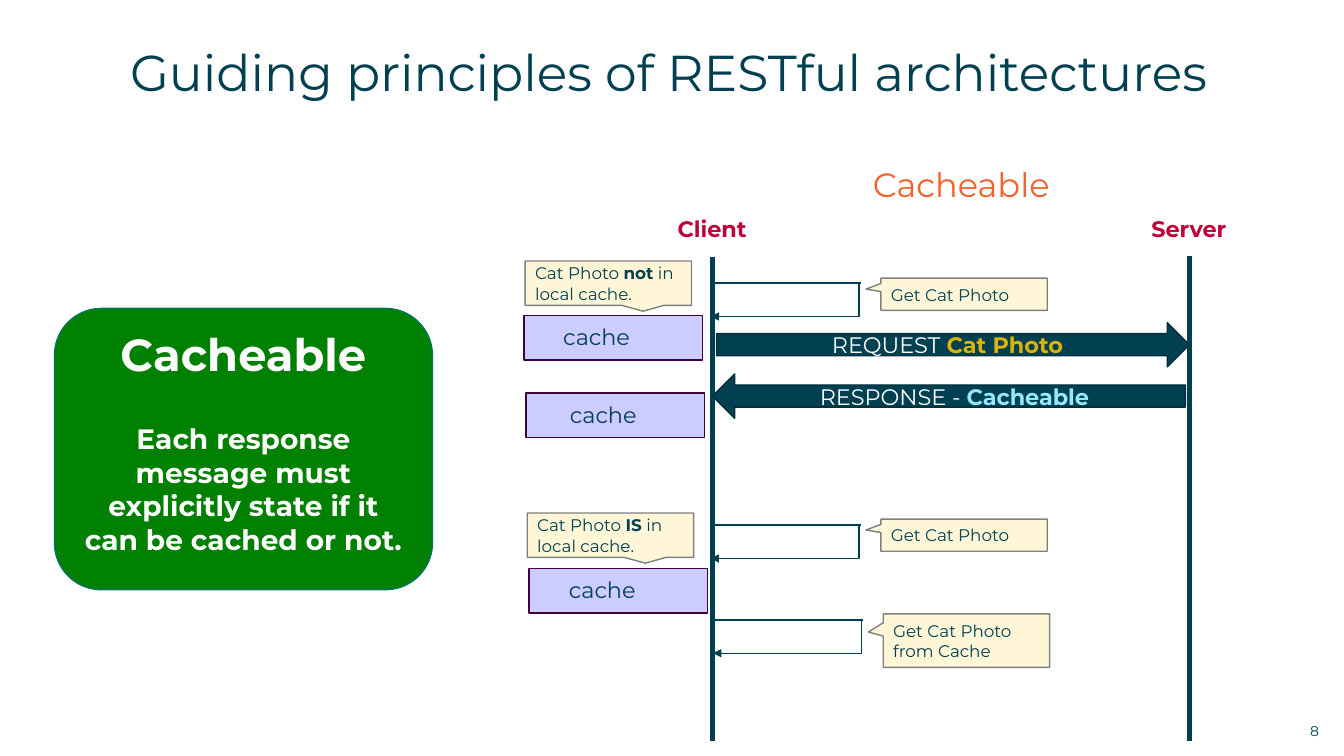
from lxml import etree
from pptx import Presentation
from pptx.dml.color import RGBColor
from pptx.enum.shapes import MSO_CONNECTOR, MSO_SHAPE
from pptx.enum.text import MSO_ANCHOR, PP_ALIGN
from pptx.oxml.ns import qn
from pptx.util import Pt

STRAIGHT, ELBOW = MSO_CONNECTOR.STRAIGHT, MSO_CONNECTOR.ELBOW
RECT, ROUNDED = MSO_SHAPE.RECTANGLE, MSO_SHAPE.ROUNDED_RECTANGLE
CALLOUT = MSO_SHAPE.RECTANGULAR_CALLOUT
RIGHT_ARROW, LEFT_ARROW = MSO_SHAPE.RIGHT_ARROW, MSO_SHAPE.LEFT_ARROW
TOP, MIDDLE = MSO_ANCHOR.TOP, MSO_ANCHOR.MIDDLE
LEFT, CENTER = PP_ALIGN.LEFT, PP_ALIGN.CENTER

COLORS = {
    "ink": "004050", "arrow_edge": "002F3B", "white": "FFFFFF",
    "green": "008000", "green_edge": "00765B", "role": "BF0039",
    "heading": "F3622C", "cache": "CCCCFF", "cache_edge": "40003E",
    "note": "FEF6D7", "note_edge": "808080", "photo": "DCB208", "reply": "94E9FF",
}
FORMATS = {
    "title": {"size": Pt(36)},
    "heading": {"size": Pt(24)},
    "principle": {"size": Pt(32), "bold": True},
    "rule": {"size": Pt(20), "bold": True},
    "label": {"size": Pt(16)},
    "strong_label": {"size": Pt(16), "bold": True},
    "note": {"size": Pt(12)},
    "strong_note": {"size": Pt(12), "bold": True},
    "number": {"size": Pt(10)},
}

prs = Presentation()
prs.slide_width, prs.slide_height = Pt(960), Pt(540)
slide = prs.slides.add_slide(prs.slide_layouts[6])
shapes = slide.shapes


def write(holder, paragraphs, align=CENTER, anchor=TOP, inset=True):
    frame = holder.text_frame
    frame.word_wrap = True
    frame.vertical_anchor = anchor
    if not inset:
        for side in ("left", "top", "right", "bottom"):
            setattr(frame, f"margin_{side}", 0)
    for index, runs in enumerate(paragraphs):
        paragraph = frame.add_paragraph() if index else frame.paragraphs[0]
        paragraph.alignment = align
        for text, style, color in runs:
            run = paragraph.add_run()
            run.text = text
            run.font.name = "Montserrat"
            run.font.color.rgb = RGBColor.from_string(COLORS[color])
            for key, value in FORMATS[style].items():
                setattr(run.font, key, value)
    return frame


def paint(element, edge, fill=None, width=1):
    element.line.color.rgb = RGBColor.from_string(COLORS[edge])
    element.line.width = Pt(width)
    if fill:
        element.shadow.inherit = False
        element.fill.solid()
        element.fill.fore_color.rgb = RGBColor.from_string(COLORS[fill])
    else:
        etree.SubElement(element._element.spPr, qn("a:effectLst"))
    return element


title = shapes.add_textbox(Pt(92.9), Pt(29.5), Pt(903.6), Pt(381.6))
write(title, [[("Guiding principles of RESTful architectures", "title", "ink")]],
      LEFT, inset=False)

principle = paint(shapes.add_shape(ROUNDED, Pt(38.9), Pt(220.3), Pt(270), Pt(200.9)),
                  "green_edge", "green")
principle_text = write(principle, [
    [("Cacheable", "principle", "white")],
    [("Each response message must explicitly state if it can be cached or not.",
      "rule", "white")],
])
principle_text.paragraphs[1].space_before = Pt(29)

heading = shapes.add_textbox(Pt(614.2), Pt(120.2), Pt(144.7), Pt(26.6))
heading_text = write(heading, [[("Cacheable", "heading", "heading")]], inset=False)
heading_text.paragraphs[0].line_spacing = 0.9

for role, lifeline_x, label_x, label_y in [
    ("Client", 509, 445, 150.5), ("Server", 849.6, 785.5, 149.8),
]:
    role_label = shapes.add_textbox(Pt(label_x), Pt(label_y), Pt(127.4), Pt(26.6))
    write(role_label, [[(role, "strong_label", "role")]])
    paint(shapes.add_connector(STRAIGHT, Pt(lifeline_x), Pt(label_y + 33),
                               Pt(lifeline_x), Pt(529.2)), "ink", width=3)

for arrow, x, y, lead, subject, color in [
    (RIGHT_ARROW, 511.9, 230.4, "REQUEST ", "Cat Photo", "photo"),
    (LEFT_ARROW, 509, 267.1, "RESPONSE - ", "Cacheable", "reply"),
]:
    message = paint(shapes.add_shape(arrow, Pt(x), Pt(y), Pt(337.7), Pt(31.7)),
                    "arrow_edge", "ink")
    write(message, [[(lead, "label", "white"), (subject, "strong_label", color)]],
          anchor=MIDDLE)

for x, y, label_width in [
    (374.4, 225.4, 64.8), (375.8, 280.8, 71.3), (378, 406.1, 65.5),
]:
    paint(shapes.add_shape(RECT, Pt(x), Pt(y), Pt(127.4), Pt(31.7)),
          "cache_edge", "cache")
    cache_label = shapes.add_textbox(Pt(x + 19.4), Pt(y + 2.2), Pt(label_width), Pt(26.6))
    write(cache_label, [[("cache", "label", "ink")]])

for x, y, in_cache in [(375.1, 186.5, "not"), (376.6, 366.5, "IS")]:
    state = paint(shapes.add_shape(CALLOUT, Pt(x), Pt(y), Pt(118.8), Pt(31.7)),
                  "note_edge", "note")
    state.adjustments[0], state.adjustments[1] = 0.21, 0.63
    write(state, [[("Cat Photo ", "note", "ink"), (in_cache, "strong_note", "ink"),
                   (" in local cache.", "note", "ink")]], LEFT, MIDDLE)

for x, y, note_y, note_height, action in [
    (507.6, 202.3, 198.7, 23, "Get Cat Photo"),
    (507.6, 375.1, 370.8, 23, "Get Cat Photo"),
    (509.3, 442.8, 438.5, 38.2, "Get Cat Photo from Cache"),
]:
    far_x = x + 107.3
    paint(shapes.add_connector(STRAIGHT, Pt(x + 1.5), Pt(y), Pt(far_x), Pt(y)), "ink")
    self_call = paint(shapes.add_connector(ELBOW, Pt(far_x), Pt(y), Pt(x), Pt(y + 23.8)),
                      "ink")
    bend = self_call._element.spPr.find(qn("a:prstGeom")).get_or_add_avLst()
    etree.SubElement(bend, qn("a:gd"), name="adj1", fmla="val 1200")
    etree.SubElement(self_call.line._get_or_add_ln(), qn("a:tailEnd"), type="triangle")

    note = paint(shapes.add_shape(CALLOUT, Pt(x + 121.6), Pt(note_y),
                                  Pt(118.8), Pt(note_height)), "note_edge", "note")
    note.adjustments[0], note.adjustments[1] = -0.59, -0.16
    write(note, [[(action, "note", "ink")]], LEFT, MIDDLE)

page_number = shapes.add_textbox(Pt(928.8), Pt(512.6), Pt(31), Pt(14.4))
write(page_number, [[("8", "number", "ink")]], LEFT)

prs.save("out.pptx")
